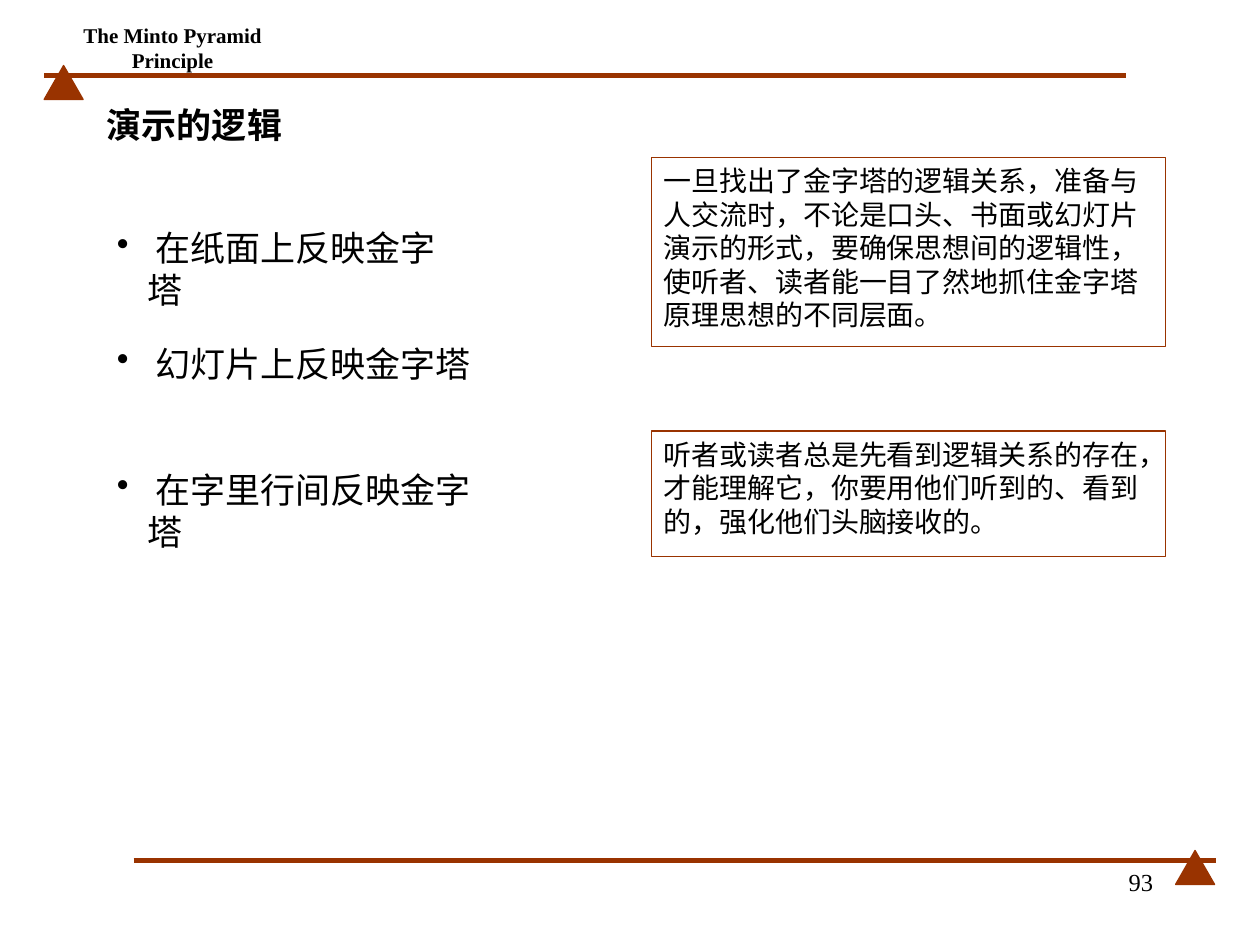
import pptx
import pptx.dml.color
import pptx.enum.shapes
import pptx.enum.text
import pptx.oxml
import pptx.oxml.ns
import pptx.util
from dataclasses import dataclass

Inches = pptx.util.Inches
Pt = pptx.util.Pt
RGB = pptx.dml.color.RGBColor
ALIGN = pptx.enum.text.PP_ALIGN
ANCHOR = pptx.enum.text.MSO_ANCHOR
SHAPE = pptx.enum.shapes.MSO_SHAPE
qn = pptx.oxml.ns.qn


@dataclass(frozen=True)
class Theme:
    accent: RGB = RGB(0x99, 0x33, 0x00)
    ink: RGB = RGB(0, 0, 0)
    paper: RGB = RGB(0xFF, 0xFF, 0xFF)
    latin: str = "Times New Roman"
    cjk: str = "Noto Sans CJK SC"
    header: int = 12
    number: int = 14
    note: int = 16
    body: int = 20
    rule: float = 3
    outline: float = 0.75


THEME = Theme()


def add_element(parent, tag, **attrs):
    el = pptx.oxml.parse_xml(f'<{tag} {pptx.oxml.ns.nsdecls("a")}/>')
    for name, value in attrs.items():
        el.set(name, value)
    parent.append(el)


def write(sp, text, size, font=THEME.latin, bold=False, align=ALIGN.LEFT,
          anchor=ANCHOR.TOP, wrap=True, bullet=False):
    tf = sp.text_frame
    tf.word_wrap = wrap
    tf.vertical_anchor = anchor
    p = tf.paragraphs[0]
    p.alignment = align
    if bullet:
        pPr = p._p.get_or_add_pPr()
        pPr.set("marL", str(Inches(0.24)))
        pPr.set("indent", str(-Inches(0.24)))
        add_element(pPr, "a:buChar", char="•")
    r = p.add_run()
    r.text = text
    r.font.size = Pt(size)
    r.font.bold = bold
    r.font.color.rgb = THEME.ink
    r.font.name = font
    add_element(r._r.get_or_add_rPr(), "a:ea", typeface=THEME.cjk)


def add_text(s, text, x, y, w, h, **fmt):
    sp = s.shapes.add_textbox(Inches(x), Inches(y), Inches(w), Inches(h))
    write(sp, text, **fmt)


def add_outlined(s, kind, x, y, w, h, fill):
    sp = s.shapes.add_shape(kind, Inches(x), Inches(y), Inches(w), Inches(h))
    sp.shadow.inherit = False
    sp.fill.solid()
    sp.fill.fore_color.rgb = fill
    sp.line.color.rgb = THEME.accent
    sp.line.width = Pt(THEME.outline)
    return sp


def add_rule(s, x, y, triangle_x):
    """Horizontal rule with a small pyramid at one end."""
    line = s.shapes.add_connector(
        pptx.enum.shapes.MSO_CONNECTOR.STRAIGHT,
        Inches(x), Inches(y), Inches(x + 8.59), Inches(y))
    line.line.color.rgb = THEME.accent
    line.line.width = Pt(THEME.rule)
    add_element(line._element.find(qn("p:spPr")), "a:effectLst")
    add_outlined(s, SHAPE.ISOSCELES_TRIANGLE, triangle_x, y - 0.08,
                 0.31, 0.27, THEME.accent)


def add_note(s, text, y, h):
    sp = add_outlined(s, SHAPE.RECTANGLE, 5.17, y, 4.08, h, THEME.paper)
    write(sp, text, size=THEME.note, font=THEME.cjk)


def main():
    prs = pptx.Presentation()
    prs.slide_width, prs.slide_height = Inches(10), Inches(7.5)
    s = prs.slides.add_slide(prs.slide_layouts[6])

    # Frame: rules, running header and page number
    add_rule(s, 0.35, 0.6, triangle_x=0.35)
    add_rule(s, 1.06, 6.83, triangle_x=9.33)
    add_text(s, "The Minto Pyramid Principle", 0.23, 0.24, 2.28, 0.28,
             size=THEME.header, bold=True, align=ALIGN.CENTER,
             anchor=ANCHOR.MIDDLE, wrap=False)
    add_text(s, "93", 7.17, 6.83, 2.08, 0.5,
             size=THEME.number, align=ALIGN.RIGHT)

    # Title
    add_text(s, "演示的逻辑", 0.75, 0.67, 8.74, 0.64,
             size=THEME.body, bold=True, anchor=ANCHOR.MIDDLE)

    # Bullet points
    for text, y, w in ((" 在纸面上反映金字塔", 1.75, 2.92),
                       (" 幻灯片上反映金字塔", 2.67, 3.33),
                       (" 在字里行间反映金字塔", 3.67, 3.25)):
        add_text(s, text, 0.83, y, w, 0.43, size=THEME.body, bullet=True)

    # Explanatory notes
    add_note(s, "一旦找出了金字塔的逻辑关系，准备与人交流时，不论是口头、书面或幻灯片"
                "演示的形式，要确保思想间的逻辑性，使听者、读者能一目了然地抓住金字塔"
                "原理思想的不同层面。", 1.25, 1.5)
    add_note(s, "听者或读者总是先看到逻辑关系的存在，才能理解它，你要用他们听到的、"
                "看到的，强化他们头脑接收的。", 3.42, 1)

    prs.save("out.pptx")


if __name__ == "__main__":
    main()
